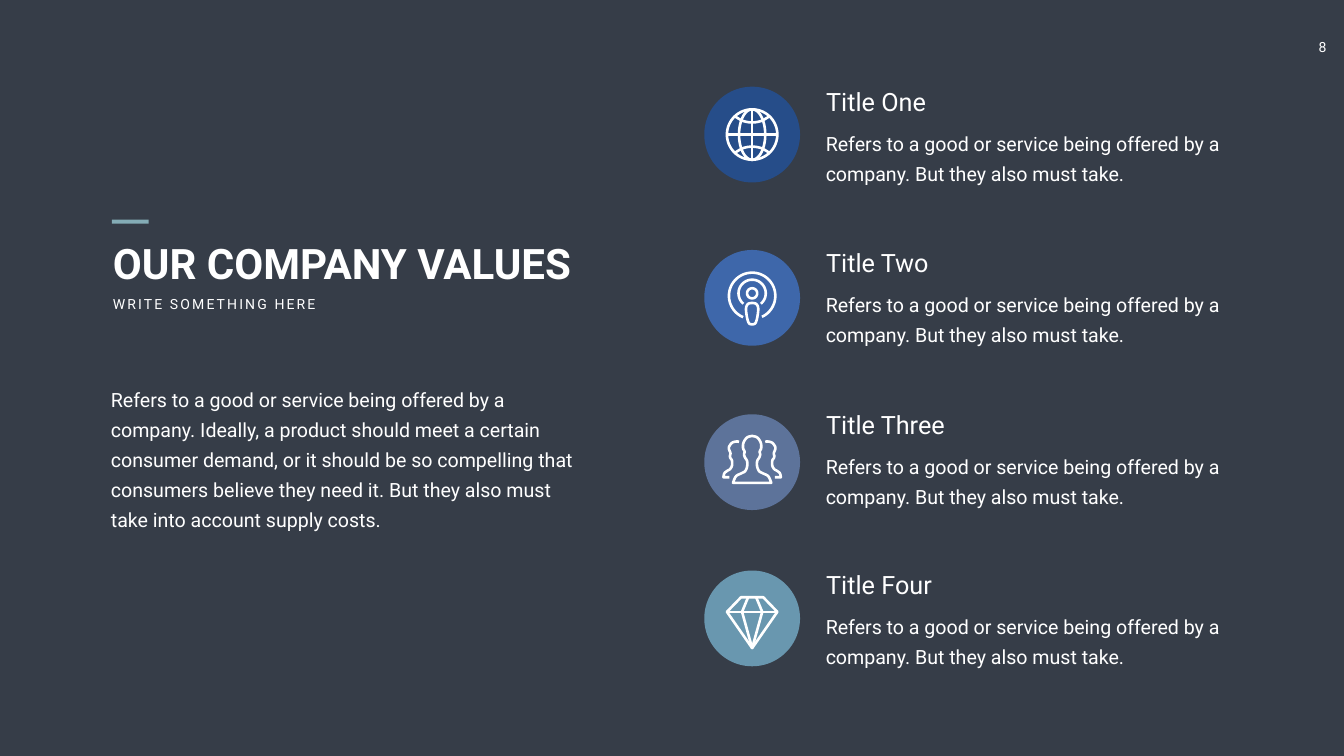
import math
from dataclasses import dataclass

from lxml import etree
from pptx import Presentation
from pptx import util as u
from pptx.dml.color import RGBColor
from pptx.enum import shapes, text
from pptx.oxml import ns

PX = 9144  # one px is a hundredth of an inch
Point = tuple[float, float]


@dataclass(frozen=True)
class Theme:
    background: str = "363D48"
    ink: str = "FFFFFF"
    accent: str = "84ACB6"
    font: str = "Roboto"
    heading: int = 60
    item: int = 36
    copy: int = 28
    small: int = 20
    leading: int = 43
    tracking: int = 3
    icon_line: float = 3.7


THEME = Theme()


@dataclass(frozen=True)
class Stroke:
    """Points in px around the badge centre."""
    points: list[Point]
    close: bool = False


def px(length: float) -> int:
    return round(length * PX)


def mirror(points: list[Point]) -> list[Point]:
    return [(-x, y) for x, y in points]


def smooth(points: list[Point], steps: int = 6) -> list[Point]:
    """Catmull-Rom curve through all the points."""
    padded = [points[0], *points, points[-1]]
    result = []
    for a, b, c, d in zip(padded, padded[1:], padded[2:], padded[3:]):
        for step in range(steps):
            t = step / steps
            result.append(tuple(
                (2 * q + (r - p) * t + (2 * p - 5 * q + 4 * r - s) * t ** 2
                 + (3 * q - p - 3 * r + s) * t ** 3) / 2
                for p, q, r, s in zip(a, b, c, d)))
    return [*result, points[-1]]


def ring(dy: int, rx: int, ry: int) -> Stroke:
    angles = [math.radians(a) for a in range(0, 360, 5)]
    return Stroke([(rx * math.cos(a), dy + ry * math.sin(a)) for a in angles], close=True)


def open_ring(dy: int, radius: int, tip: int) -> Stroke:
    """Circle left open at the bottom; tip is the angle of its right end."""
    angles = [math.radians(a) for a in range(180 - tip, 361 + tip, 4)]
    return Stroke([(radius * math.cos(a), dy + radius * math.sin(a)) for a in angles])


def globe() -> list[Stroke]:
    parallels = [smooth([(-34, 36 * side), (-18, 27 * side), (0, 24 * side),
                         (18, 27 * side), (34, 36 * side)]) for side in (-1, 1)]
    return [ring(0, 50, 50), ring(0, 26, 50), Stroke([(0, -50), (0, 50)]),
            Stroke([(-50, 0), (50, 0)]), *map(Stroke, parallels)]


def podcast() -> list[Stroke]:
    half = [(0, 10), (8, 12), (12, 20), (11, 34), (8, 47), (4, 52)]
    handle = smooth(half + mirror(half)[::-1])
    return [open_ring(-4, 46, 67), open_ring(-9, 27, 50), ring(-9, 10, 10),
            Stroke(handle, close=True)]


def people() -> list[Stroke]:
    leader = smooth([(0, -52), (10, -49), (17, -39), (18, -28), (15, -21), (16, -15), (14, -9),
                     (10, -2), (10, 9), (14, 18), (21, 22), (32, 28), (38, 41)])
    follower = smooth([(26, -40), (30, -41), (39, -39), (45, -32), (46, -26), (43, -18),
                       (44, -12), (43, -8), (40, -3), (40, 7), (44, 14), (49, 17),
                       (55, 22), (57, 30)]) + [(45, 30)]
    return [Stroke(leader + mirror(leader)[::-1], close=True),
            Stroke(follower), Stroke(mirror(follower))]


def diamond() -> list[Stroke]:
    facet = [(-8, -42), (-20, -13), (0, 59)]
    return [Stroke([(-50, -13), (-22, -42), (22, -42), (50, -13), (0, 59)], close=True),
            Stroke([(-50, -13), (50, -13)]), Stroke(facet), Stroke(mirror(facet))]


@dataclass(frozen=True)
class Value:
    title: str
    colour: str
    badge_top: int
    title_top: int
    icon: list[Stroke]


VALUES = [
    Value("Title One", "264D89", 172, 166, globe()),
    Value("Title Two", "3E67AA", 496, 485, podcast()),
    Value("Title Three", "5D739A", 822, 807, people()),
    Value("Title Four", "6997AF", 1132, 1124, diamond()),
]
BADGE_LEFT, BADGE = 1397, 190
SUMMARY = "Refers to a good or service being offered by a company. But they also must take."
INTRO = ("Refers to a good or service being offered by a company. Ideally, a product should meet "
         "a certain consumer demand, or it should be so compelling that consumers believe they "
         "need it. But they also must take into account supply costs.")


def draw_icon(slide, strokes: list[Stroke], x: int, y: int) -> None:
    builder = slide.shapes.build_freeform()
    for index, stroke in enumerate(strokes):
        start, *rest = [(px(x + dx), px(y + dy)) for dx, dy in stroke.points]
        if index == 0:
            builder = slide.shapes.build_freeform(*start)
        else:
            builder.move_to(*start)
        builder.add_line_segments(rest, close=stroke.close)
    icon = builder.convert_to_shape()
    icon.shadow.inherit = False
    icon.fill.background()
    icon.line.color.rgb = RGBColor.from_string(THEME.ink)
    icon.line.width = u.Pt(THEME.icon_line)


def write(box, area: tuple[int, int, int, int], words: str, size: int, *,
          insets: tuple[int, int] = (10, 5), leading: int | None = None, bold: bool = False,
          tracking: int = 0, align=text.PP_ALIGN.LEFT) -> None:
    box.left, box.top, box.width, box.height = map(px, area)
    frame = box.text_frame
    frame.word_wrap = True
    frame.auto_size = text.MSO_AUTO_SIZE.NONE
    frame.vertical_anchor = text.MSO_ANCHOR.TOP
    frame.margin_left = frame.margin_right = px(insets[0])
    frame.margin_top = frame.margin_bottom = px(insets[1])
    paragraph = frame.paragraphs[0]
    properties = paragraph._p.get_or_add_pPr()
    properties.set("marL", "0")
    properties.set("indent", "0")
    etree.SubElement(properties, ns.qn("a:buNone"))
    paragraph.alignment = align
    paragraph.space_before = u.Pt(0)
    if leading:
        paragraph.line_spacing = u.Pt(leading)
    run = paragraph.add_run()
    run.text = words
    run.font.name, run.font.size, run.font.bold = THEME.font, u.Pt(size), bold
    run.font.color.rgb = RGBColor.from_string(THEME.ink)
    if tracking:
        run._r.get_or_add_rPr().set("spc", str(tracking * 100))


def fill_shape(slide, kind, area: tuple[int, int, int, int], colour: str) -> None:
    shape = slide.shapes.add_shape(kind, *map(px, area))
    shape.shadow.inherit = False
    shape.fill.solid()
    shape.fill.fore_color.rgb = RGBColor.from_string(colour)
    shape.line.fill.background()


def add_value(slide, value: Value) -> None:
    fill_shape(slide, shapes.MSO_SHAPE.OVAL, (BADGE_LEFT, value.badge_top, BADGE, BADGE),
               value.colour)
    draw_icon(slide, value.icon, BADGE_LEFT + BADGE // 2, value.badge_top + BADGE // 2)
    write(slide.shapes.add_textbox(0, 0, 0, 0), (1614, value.title_top + 71, 856, 139),
          SUMMARY, THEME.copy, insets=(24, 12), leading=THEME.leading)
    write(slide.shapes.add_textbox(0, 0, 0, 0), (1629, value.title_top, 541, 71),
          value.title, THEME.item)


def main() -> None:
    deck = Presentation()
    deck.slide_width, deck.slide_height = px(2666), px(1500)
    slide = deck.slides.add_slide(deck.slide_layouts[1])
    slide.background.fill.solid()
    slide.background.fill.fore_color.rgb = RGBColor.from_string(THEME.background)

    write(slide.shapes.title, (214, 467, 981, 111), "OUR COMPANY VALUES", THEME.heading, bold=True)
    write(slide.placeholders[1], (196, 744, 1000, 320), INTRO, THEME.copy,
          insets=(24, 12), leading=THEME.leading)
    for value in VALUES:
        add_value(slide, value)
    write(slide.shapes.add_textbox(0, 0, 0, 0), (214, 582, 435, 44), "WRITE SOMETHING HERE",
          THEME.small, tracking=THEME.tracking)
    fill_shape(slide, shapes.MSO_SHAPE.RECTANGLE, (222, 436, 73, 8), THEME.accent)
    write(slide.shapes.add_textbox(0, 0, 0, 0), (2578, 67, 91, 54), "8", THEME.small,
          insets=(20, 10), align=text.PP_ALIGN.CENTER)
    deck.save("out.pptx")


if __name__ == "__main__":
    main()
